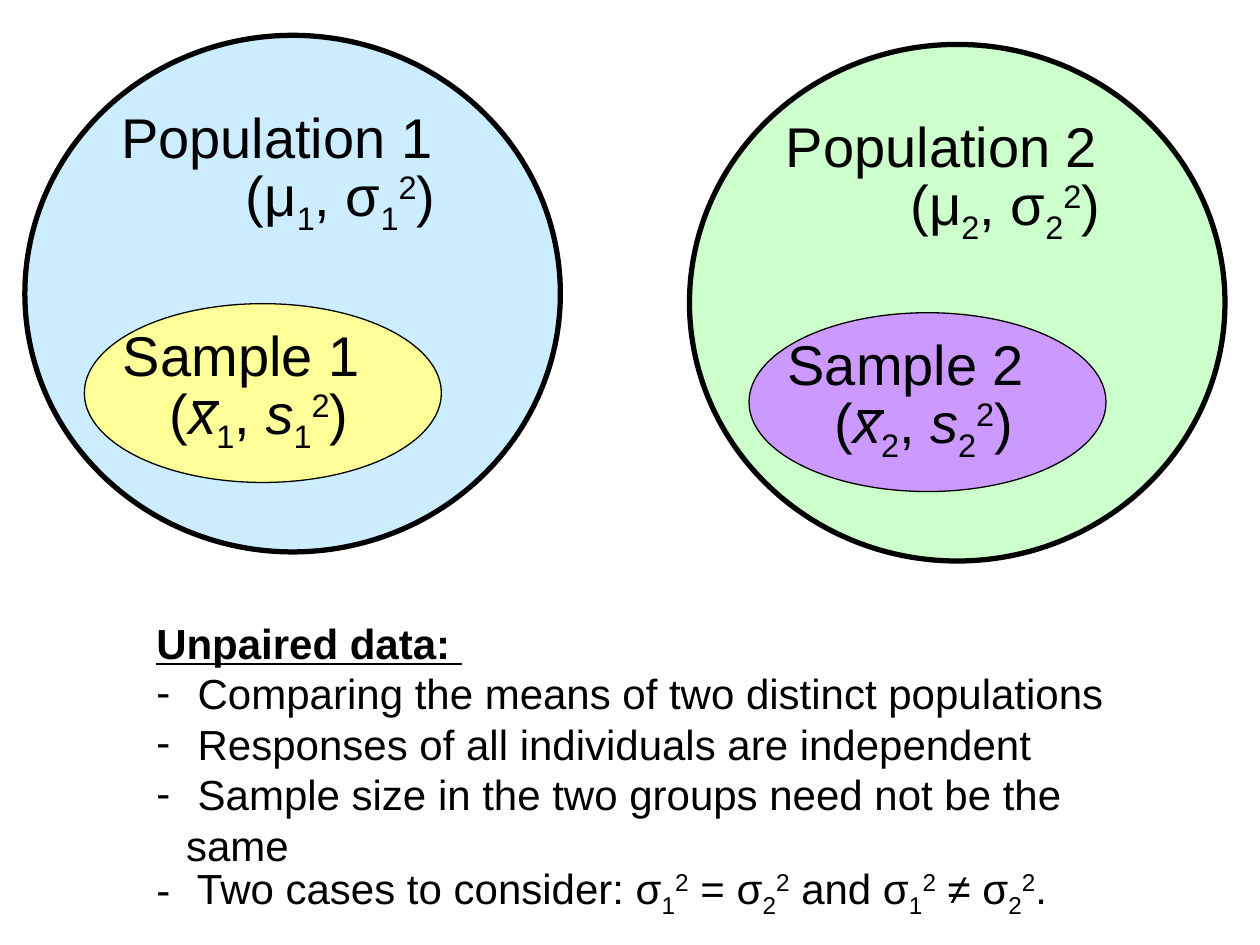
from dataclasses import dataclass

from lxml.etree import SubElement
from pptx import Presentation
from pptx.dml.color import RGBColor
from pptx.enum.shapes import MSO_CONNECTOR, MSO_SHAPE
from pptx.enum.text import MSO_ANCHOR, MSO_AUTO_SIZE
from pptx.oxml.ns import qn
from pptx.util import Pt


@dataclass(frozen=True)
class Theme:
    font: str = "Arial"
    label_size: int = 32
    body_size: int = 24
    line_factor: float = 1.2
    ink: RGBColor = RGBColor(0, 0, 0)
    populations: tuple = (RGBColor(0xCC, 0xEC, 0xFF), RGBColor(0xCC, 0xFF, 0xCC))
    samples: tuple = (RGBColor(0xFF, 0xFF, 0x99), RGBColor(0xCC, 0x99, 0xFF))


THEME = Theme()
GROUP_STEP = (379.8, 5.2)  # offset from the first group to the second
BASELINES = {"sub": "-25000", "sup": "30000"}
HANGING = 17


def add_runs(paragraph, runs, size):
    """Each run is plain text or a (text, style) pair."""
    paragraph.line_spacing = Pt(size * THEME.line_factor)
    paragraph.space_before = Pt(0)
    for item in runs:
        text, style = (item, "") if isinstance(item, str) else item
        run = paragraph.add_run()
        run.text = text
        font = run.font
        font.name, font.size = THEME.font, Pt(size)
        font.color.rgb = THEME.ink
        if style in BASELINES:
            font._element.set("baseline", BASELINES[style])
        elif style == "italic":
            font.italic = True
        elif style == "heading":
            font.bold = font.underline = True


def set_indent(paragraph, left, first=0):
    properties = paragraph._p.get_or_add_pPr()
    properties.set("marL", str(Pt(left)))
    properties.set("indent", str(Pt(first)))
    return properties


def add_ellipse(slide, left, top, width, height, fill, line_width):
    shape = slide.shapes.add_shape(
        MSO_SHAPE.OVAL, Pt(left), Pt(top), Pt(width), Pt(height))
    shape.shadow.inherit = False
    shape.fill.solid()
    shape.fill.fore_color.rgb = fill
    shape.line.color.rgb = THEME.ink
    shape.line.width = Pt(line_width)


def add_label(slide, left, top, width, name, symbols, indent):
    """A name with its indented parameters below."""
    box = slide.shapes.add_textbox(Pt(left), Pt(top), Pt(width), Pt(89.3))
    frame = box.text_frame
    frame.word_wrap = True
    add_runs(frame.paragraphs[0], [name], THEME.label_size)
    parameters = frame.add_paragraph()
    set_indent(parameters, indent)
    add_runs(parameters, symbols, THEME.label_size)


def add_bar(slide, left, top, width):
    """The bar over the sample mean."""
    bar = slide.shapes.add_connector(
        MSO_CONNECTOR.STRAIGHT, Pt(left), Pt(top), Pt(left + width), Pt(top))
    bar.line.color.rgb = THEME.ink
    bar.line.width = Pt(2.25)
    SubElement(bar._element.spPr, qn("a:effectLst"))


def add_population(slide, index):
    x, y = (index * step for step in GROUP_STEP)
    number = str(index + 1)
    sub = (number, "sub")
    variance = [sub, ("2", "sup"), ")"]

    # Population
    add_ellipse(slide, x + 14.2, y + 20.2, 306, 295.2, THEME.populations[index], 3)
    add_label(slide, x + 62.2, y + 55, 233.3, f"Population {number}",
              ["(μ", sub, ", σ", *variance], 71.2)

    # Sample
    add_ellipse(slide, x + 48.2, y + 173.5, 204, 102.2, THEME.samples[index], 0.75)
    add_label(slide, x + 63.2, y + 179.5, 169.9, f"Sample {number}",
              ["(", ("x", "italic"), sub, ", ", ("s", "italic"), *variance], 26.7)
    add_bar(slide, x + 110.4, y + 230.4, 15)


def fill_body(body, heading, items):
    body.left, body.top, body.width, body.height = (
        Pt(82.1), Pt(349.2), Pt(589.7), Pt(180))
    frame = body.text_frame
    frame.word_wrap = True
    frame.auto_size = MSO_AUTO_SIZE.NONE
    frame.vertical_anchor = MSO_ANCHOR.TOP

    paragraph = frame.paragraphs[0]
    SubElement(set_indent(paragraph, 0), qn("a:buNone"))
    add_runs(paragraph, [(heading, "heading")], THEME.body_size)
    for runs in items:
        paragraph = frame.add_paragraph()
        properties = set_indent(paragraph, HANGING, -HANGING)
        SubElement(properties, qn("a:buChar")).set("char", "-")
        add_runs(paragraph, runs, THEME.body_size)


def main():
    presentation = Presentation()
    presentation.slide_width, presentation.slide_height = Pt(720), Pt(540)
    slide = presentation.slides.add_slide(presentation.slide_layouts[1])
    title, body = slide.placeholders
    title._element.getparent().remove(title._element)

    # Two populations with their samples
    for index in range(2):
        add_population(slide, index)

    # Notes on unpaired data
    first = [("1", "sub"), ("2", "sup")]
    second = [("2", "sub"), ("2", "sup")]
    fill_body(body, "Unpaired data: ", [
        [" Comparing the means of two distinct populations"],
        [" Responses of all individuals are independent"],
        [" Sample size in the two groups need not be the same"],
        [" Two cases to consider: σ", *first, " = σ", *second,
         " and σ", *first, " ≠ σ", *second, "."],
    ])
    presentation.save("out.pptx")


if __name__ == "__main__":
    main()
